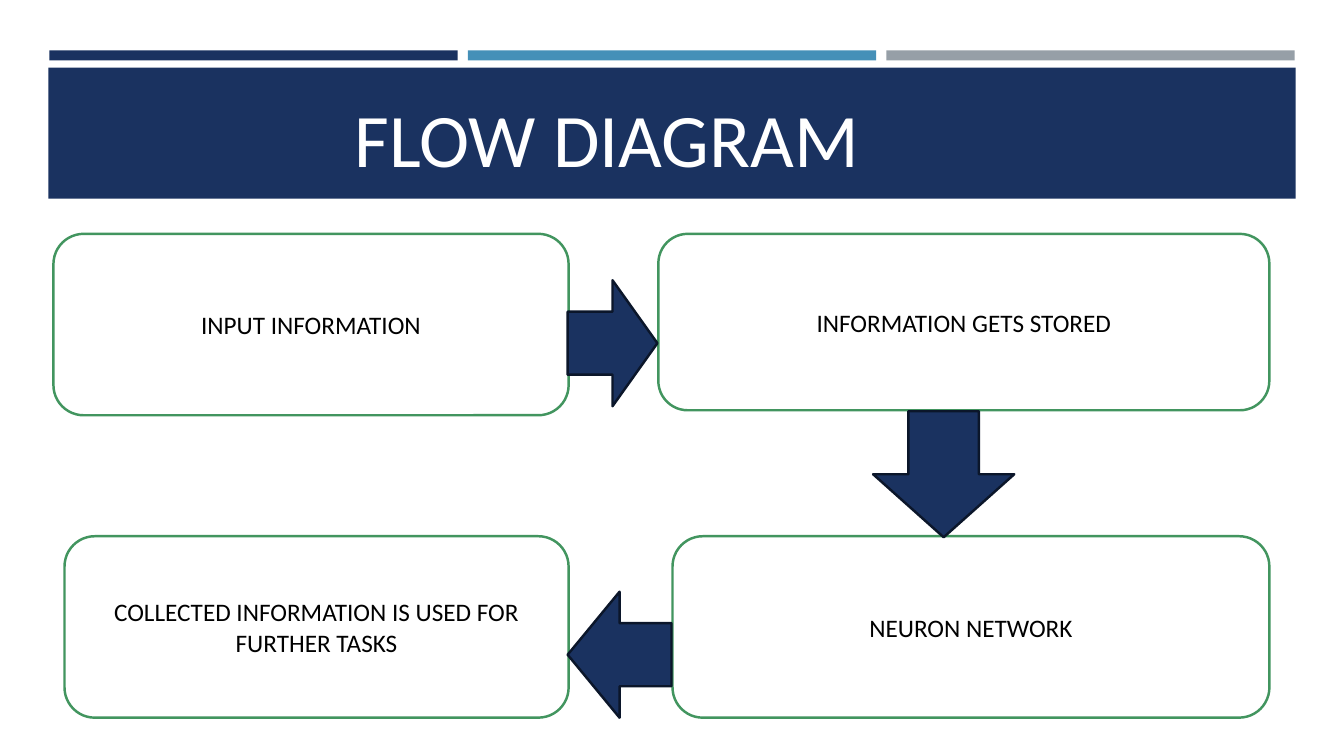
from pptx import Presentation
from pptx.dml.color import RGBColor
from pptx.enum.shapes import MSO_SHAPE as SHAPE
from pptx.enum.text import MSO_ANCHOR as ANCHOR, PP_ALIGN as ALIGN
from pptx.util import Inches, Pt

NAVY = RGBColor(0x1A, 0x32, 0x60)
DARK_NAVY = RGBColor(0x0B, 0x16, 0x2A)
BLUE = RGBColor(0x45, 0x90, 0xB8)
GREY = RGBColor(0x96, 0x9F, 0xA7)
GREEN = RGBColor(0x42, 0x95, 0x5F)
WHITE = RGBColor(0xFF, 0xFF, 0xFF)
BLACK = RGBColor(0, 0, 0)

# Boxes are left, top, width, height in inches
HEADER = (0.48, 0.5, 12.37, 1.47)
STEPS = [
    ("INPUT INFORMATION", (0.53, 2.32, 5.11, 1.8)),
    ("INFORMATION GETS STORED", (6.53, 2.32, 6.06, 1.75)),
    ("NEURON NETWORK", (6.67, 5.32, 5.92, 1.8)),
    ("COLLECTED INFORMATION IS USED FOR FURTHER TASKS", (0.64, 5.32, 5, 1.8)),
]
ARROWS = [
    (SHAPE.RIGHT_ARROW, (5.63, 2.78, 0.89, 1.25), 0),
    (SHAPE.DOWN_ARROW, (8.66, 4.08, 1.4, 1.25), 0),
    (SHAPE.RIGHT_ARROW, (5.63, 5.87, 1.03, 1.25), 180),
]


def add_shape(slide, kind, box, fill, line=None):
    s = slide.shapes.add_shape(kind, *map(Inches, box))
    s.shadow.inherit = False
    s.fill.solid()
    s.fill.fore_color.rgb = fill
    if line is None:
        s.line.fill.background()
    else:
        s.line.color.rgb = line
        s.line.width = Pt(1.75)
    return s


def write(sp, text, size, color, align, anchor):
    tf = sp.text_frame
    tf.word_wrap = True
    tf.vertical_anchor = anchor
    p = tf.paragraphs[0]
    p.alignment = align
    r = p.add_run()
    r.text = text
    for name, value in {"name": "Calibri", "size": Pt(size)}.items():
        setattr(r.font, name, value)
    r.font.color.rgb = color


def add_header(slide, box, title):
    """Three colour strips above a banner that holds the title."""
    left, top, width, height = box
    strip_width, pitch = 4.05, 4.15
    for i, color in enumerate((NAVY, BLUE, GREY)):
        strip = (left + 0.01 + i * pitch, top, strip_width, 0.1)
        add_shape(slide, SHAPE.RECTANGLE, strip, color)
    banner = (left, top + 0.17, width, height - 0.17)
    add_shape(slide, SHAPE.RECTANGLE, banner, NAVY)
    indent = 2.94
    title_box = (left + indent, top + 0.25, width - indent, 1.11)
    sp = slide.shapes.add_textbox(*map(Inches, title_box))
    write(sp, title, 54, WHITE, ALIGN.LEFT, ANCHOR.BOTTOM)


def add_step(slide, box, text):
    sp = add_shape(slide, SHAPE.ROUNDED_RECTANGLE, box, WHITE, GREEN)
    write(sp, text, 18, BLACK, ALIGN.CENTER, ANCHOR.MIDDLE)


def add_arrow(slide, kind, box, rotation):
    add_shape(slide, kind, box, NAVY, DARK_NAVY).rotation = rotation


def main():
    prs = Presentation()
    prs.slide_width, prs.slide_height = Inches(13.33), Inches(7.5)
    slide = prs.slides.add_slide(prs.slide_layouts[6])
    add_header(slide, HEADER, "FLOW DIAGRAM")
    for text, box in STEPS:
        add_step(slide, box, text)
    for kind, box, rotation in ARROWS:
        add_arrow(slide, kind, box, rotation)
    prs.save("out.pptx")


if __name__ == "__main__":
    main()
